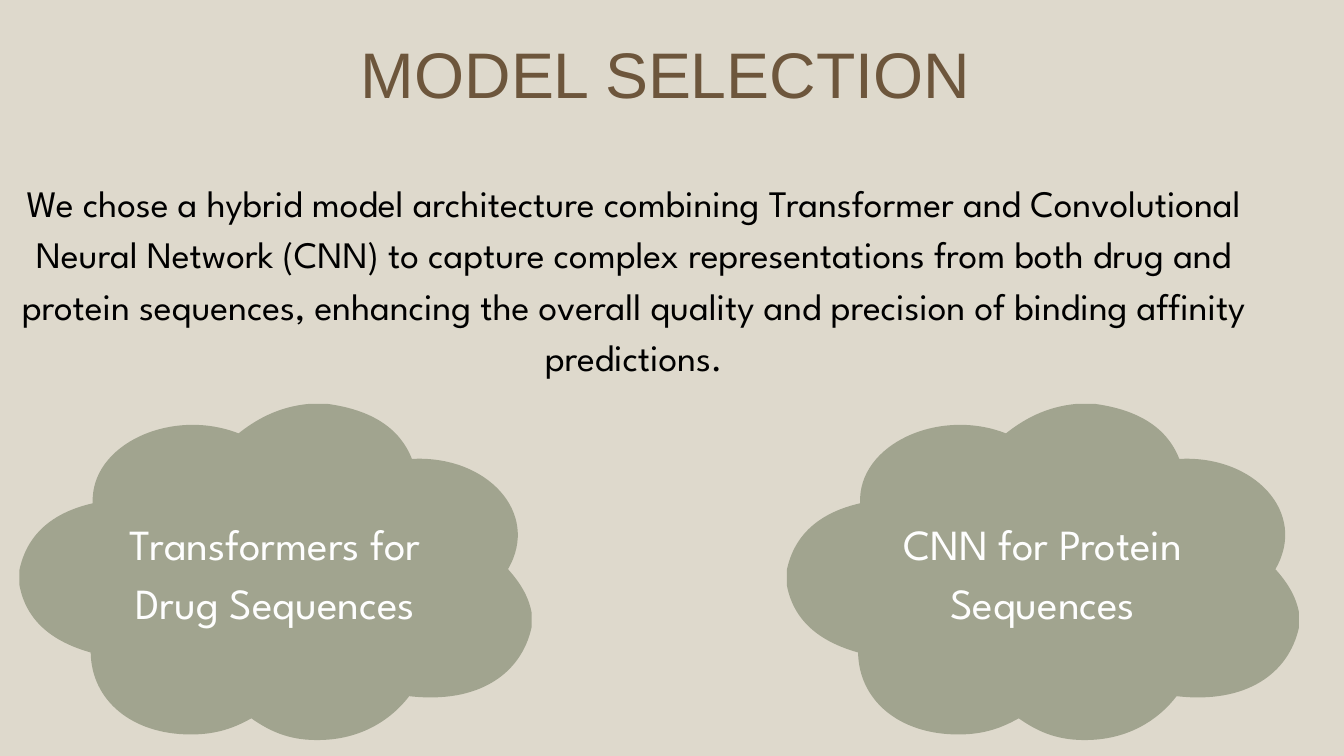
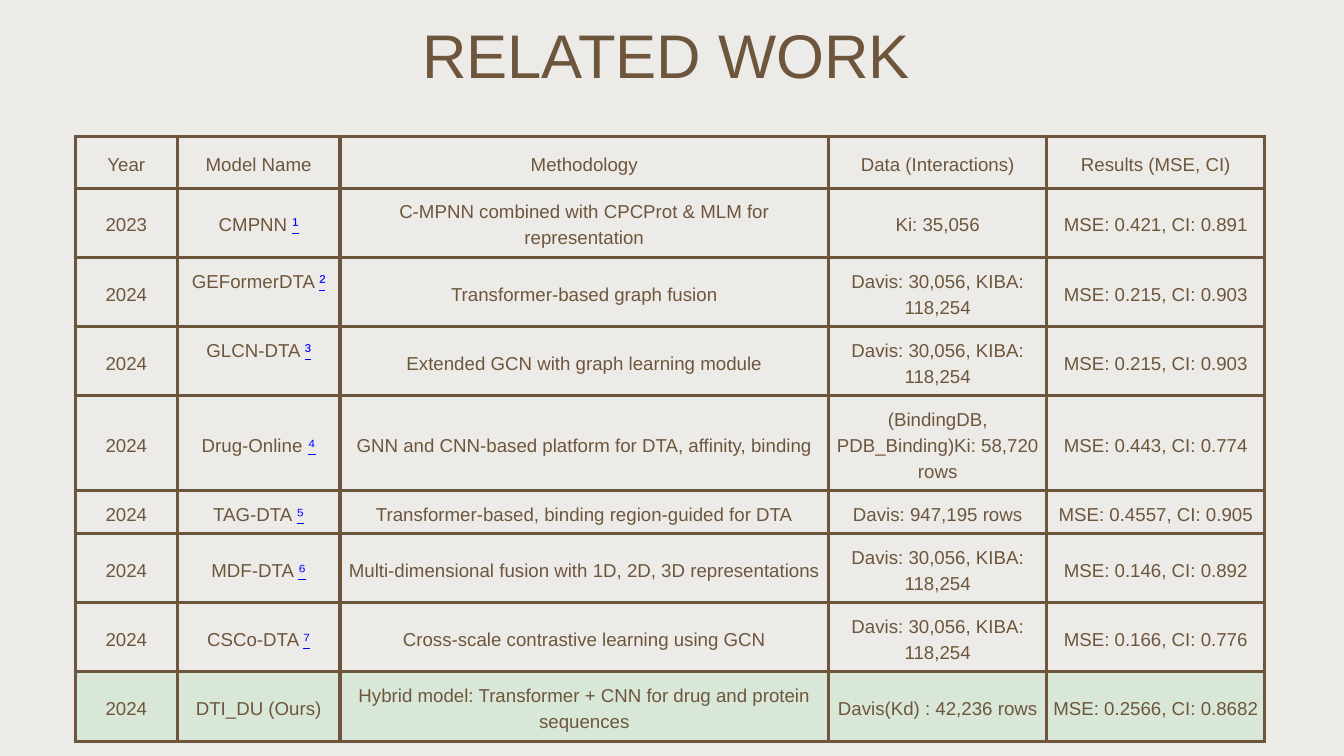
from lxml.etree import SubElement
from pptx import Presentation
from pptx.dml.color import RGBColor
from pptx.enum.text import MSO_ANCHOR as Anchor, PP_ALIGN as Align
from pptx.oxml.ns import qn
from pptx.util import Inches, Pt

BROWN, SAGE, MINT = "6D563C", "A1A48F", "D8E7D8"
SAND, IVORY = "DED9CC", "EDEBE8"
BLACK, WHITE, LINK_BLUE = "000000", "FEFEFE", "0000FF"
HEADING_FONT, BODY_FONT = "Arial", "League Spartan"
CELL_MARGIN, MARK_DROP = 0.09, 0.39
REFERENCE_MARKS = "¹²³⁴⁵⁶⁷"

CLOUD_LEFTS, CLOUD_TOP = (0.29, 11.71), 6.01
CLOUD_WIDTH, CLOUD_HEIGHT = 7.76, 5.04
CLOUD_START = (4.32, 0)
CLOUD_CURVES = [
    [(4.41, 0), (4.49, 0), (4.58, 0)],
    [(5.24, 0.09), (5.66, 0.36), (5.84, 0.82)],
    [(6.95, 0.76), (7.76, 1.62), (7.27, 2.46)],
    [(7.43, 2.64), (7.57, 2.84), (7.62, 3.1)],
    [(7.62, 3.18), (7.62, 3.26), (7.62, 3.33)],
    [(7.47, 4.01), (6.84, 4.47), (5.8, 4.35)],
    [(5.54, 4.69), (5.06, 5.04), (4.32, 5)],
    [(3.94, 4.98), (3.68, 4.84), (3.45, 4.68)],
    [(3.2, 4.82), (2.94, 4.92), (2.55, 4.92)],
    [(1.67, 4.92), (1.07, 4.41), (1.06, 3.7)],
    [(0.49, 3.54), (0.1, 3.23), (0, 2.7)],
    [(0, 2.63), (0, 2.55), (0, 2.47)],
    [(0.11, 1.95), (0.48, 1.62), (1.09, 1.48)],
    [(1.05, 0.6), (2.27, 0.05), (3.26, 0.44)],
    [(3.5, 0.25), (3.84, 0.04), (4.32, 0)],
]

INTRODUCTION = (
    "We chose a hybrid model architecture combining Transformer and Convolutional "
    "Neural Network (CNN) to capture complex representations from both drug and "
    "protein sequences, enhancing the overall quality and precision of binding "
    "affinity predictions."
)

COLUMN_WIDTHS = [1.52, 2.42, 7.27, 3.25, 3.24]
ROW_HEIGHTS = [0.77, 1.03, 1.03, 1.03, 1.41, 0.64, 1.03, 1.03, 1.03]
DAVIS_KIBA = "Davis: 30,056, KIBA: 118,254"
RELATED_WORK = [
    ("Year", "Model Name", "Methodology", "Data (Interactions)", "Results (MSE, CI)"),
    ("2023", "CMPNN ¹", "C-MPNN combined with CPCProt & MLM for representation",
     "Ki: 35,056", "MSE: 0.421, CI: 0.891"),
    ("2024", "GEFormerDTA ²", "Transformer-based graph fusion",
     DAVIS_KIBA, "MSE: 0.215, CI: 0.903"),
    ("2024", "GLCN-DTA ³", "Extended GCN with graph learning module",
     DAVIS_KIBA, "MSE: 0.215, CI: 0.903"),
    ("2024", "Drug-Online ⁴", "GNN and CNN-based platform for DTA, affinity, binding",
     "(BindingDB, PDB_Binding)Ki: 58,720 rows", "MSE: 0.443, CI: 0.774"),
    ("2024", "TAG-DTA ⁵", "Transformer-based, binding region-guided for DTA",
     "Davis: 947,195 rows", "MSE: 0.4557, CI: 0.905"),
    ("2024", "MDF-DTA ⁶", "Multi-dimensional fusion with 1D, 2D, 3D representations",
     DAVIS_KIBA, "MSE: 0.146, CI: 0.892"),
    ("2024", "CSCo-DTA ⁷", "Cross-scale contrastive learning using GCN",
     DAVIS_KIBA, "MSE: 0.166, CI: 0.776"),
    ("2024", "DTI_DU (Ours)", "Hybrid model: Transformer + CNN for drug and protein sequences",
     "Davis(Kd) : 42,236 rows", "MSE: 0.2566, CI: 0.8682"),
]
RAISED_NAMES = ("GEFormerDTA ²", "GLCN-DTA ³")


def color(hex_string):
    """Turn a hex string into a colour."""
    return RGBColor.from_string(hex_string)


def add_slide(presentation, background):
    """Add a blank slide with a plain background."""
    slide = presentation.slides.add_slide(presentation.slide_layouts[6])
    slide.background.fill.solid()
    slide.background.fill.fore_color.rgb = color(background)
    return slide


def format_paragraph(paragraph, font_name, size, text_color, spacing, alignment):
    """Set the spacing, alignment and run fonts of a paragraph."""
    paragraph.alignment = alignment
    paragraph.line_spacing = Pt(spacing)
    for run in paragraph.runs:
        run.font.name = font_name
        run.font.size = Pt(size)
        run.font.color.rgb = color(text_color)


def add_text(slide, box, text, font_name, size, text_color, spacing, alignment=Align.CENTER):
    """Add a wrapped text box without margins."""
    text_frame = slide.shapes.add_textbox(*map(Inches, box)).text_frame
    text_frame.word_wrap = True
    text_frame.margin_left = text_frame.margin_right = 0
    text_frame.margin_top = text_frame.margin_bottom = 0
    text_frame.text = text
    format_paragraph(text_frame.paragraphs[0], font_name, size, text_color, spacing, alignment)


def add_title(slide, box, text, size):
    """Add a slide title."""
    add_text(slide, box, text, HEADING_FONT, size, BROWN, size, Align.JUSTIFY)


def bend_segments(shape, curves):
    """Turn the straight segments of a freeform into cubic curves."""
    segments = list(shape._element.iter(qn("a:lnTo")))
    for segment, curve in zip(segments, curves):
        segment.tag = qn("a:cubicBezTo")
        segment.clear()
        for x, y in curve:
            SubElement(segment, qn("a:pt"), x=str(Inches(x)), y=str(Inches(y)))


def add_cloud(slide, left):
    """Add a cloud outline."""
    builder = slide.shapes.build_freeform(*map(Inches, CLOUD_START))
    builder.add_line_segments([tuple(map(Inches, curve[-1])) for curve in CLOUD_CURVES], close=True)
    cloud = builder.convert_to_shape(Inches(left), Inches(CLOUD_TOP))
    bend_segments(cloud, CLOUD_CURVES)
    cloud.width, cloud.height = Inches(CLOUD_WIDTH), Inches(CLOUD_HEIGHT)
    outline = next(cloud._element.iter(qn("a:path")))
    outline.set("w", str(cloud.width))
    outline.set("h", str(cloud.height))
    cloud.shadow.inherit = False
    cloud.fill.solid()
    cloud.fill.fore_color.rgb = color(SAGE)
    cloud.line.fill.background()


def add_cloud_label(slide, left, label):
    """Write the label of the cloud that starts at left."""
    add_text(slide, (left + 1.24, 7.59, 5.13, 1.74), label, BODY_FONT, 46, WHITE, 63.5)


def add_borders(cell, line_color, width):
    """Draw a solid line on each side of a cell."""
    properties = cell._tc.get_or_add_tcPr()
    for side in ("lnL", "lnR", "lnT", "lnB"):
        line = SubElement(properties, qn(f"a:{side}"), w=str(Pt(width)))
        fill = SubElement(line, qn("a:solidFill"))
        SubElement(fill, qn("a:srgbClr"), val=line_color)


def fill_cell(cell, text, background):
    """Write a table cell, with its reference mark styled as a link."""
    add_borders(cell, BROWN, 3.75)
    if background:
        cell.fill.solid()
        cell.fill.fore_color.rgb = color(background)
    else:
        cell.fill.background()
    cell.vertical_anchor = Anchor.MIDDLE
    cell.margin_left = cell.margin_right = cell.margin_top = Inches(CELL_MARGIN)
    cell.margin_bottom = Inches(CELL_MARGIN + (MARK_DROP if text in RAISED_NAMES else 0))
    name = text.rstrip(REFERENCE_MARKS)
    paragraph = cell.text_frame.paragraphs[0]
    paragraph.text = name
    if name != text:
        paragraph.add_run().text = text[len(name):]
    format_paragraph(paragraph, HEADING_FONT, 20, BROWN, 28, Align.CENTER)
    if name != text:
        mark_font = paragraph.runs[-1].font
        mark_font.color.rgb = color(LINK_BLUE)
        mark_font.underline = True


def add_comparison_table(slide, left, top):
    """Add the table of related models, with the last row highlighted."""
    table = slide.shapes.add_table(
        len(ROW_HEIGHTS), len(COLUMN_WIDTHS), Inches(left), Inches(top),
        Inches(sum(COLUMN_WIDTHS)), Inches(sum(ROW_HEIGHTS))).table
    table.first_row = table.horz_banding = False
    for column, width in zip(table.columns, COLUMN_WIDTHS):
        column.width = Inches(width)
    for row, height, texts in zip(table.rows, ROW_HEIGHTS, RELATED_WORK):
        row.height = Inches(height)
        background = MINT if texts is RELATED_WORK[-1] else None
        for cell, text in zip(row.cells, texts):
            fill_cell(cell, text, background)


def build_model_selection(presentation):
    """Build the slide on the chosen model."""
    slide = add_slide(presentation, SAND)
    drug_left, protein_left = CLOUD_LEFTS
    add_cloud(slide, drug_left)
    add_text(slide, (0, 2.58, 18.86, 3.8), INTRODUCTION, BODY_FONT, 40, BLACK, 55.2)
    add_title(slide, (5.37, 0.7, 9.26, 1), "MODEL SELECTION", 69)
    add_cloud(slide, protein_left)
    add_cloud_label(slide, drug_left, "Transformers for Drug Sequences")
    add_cloud_label(slide, protein_left, "CNN for Protein Sequences")


def build_related_work(presentation):
    """Build the slide that compares related models."""
    slide = add_slide(presentation, IVORY)
    add_comparison_table(slide, 1.12, 2.03)
    add_title(slide, (6.28, 0.44, 7.45, 0.96), "RELATED WORK", 66)


def main():
    """Build and save the presentation."""
    presentation = Presentation()
    presentation.slide_width = Inches(20)
    presentation.slide_height = Inches(11.25)
    build_model_selection(presentation)
    build_related_work(presentation)
    presentation.save("out.pptx")


if __name__ == "__main__":
    main()
